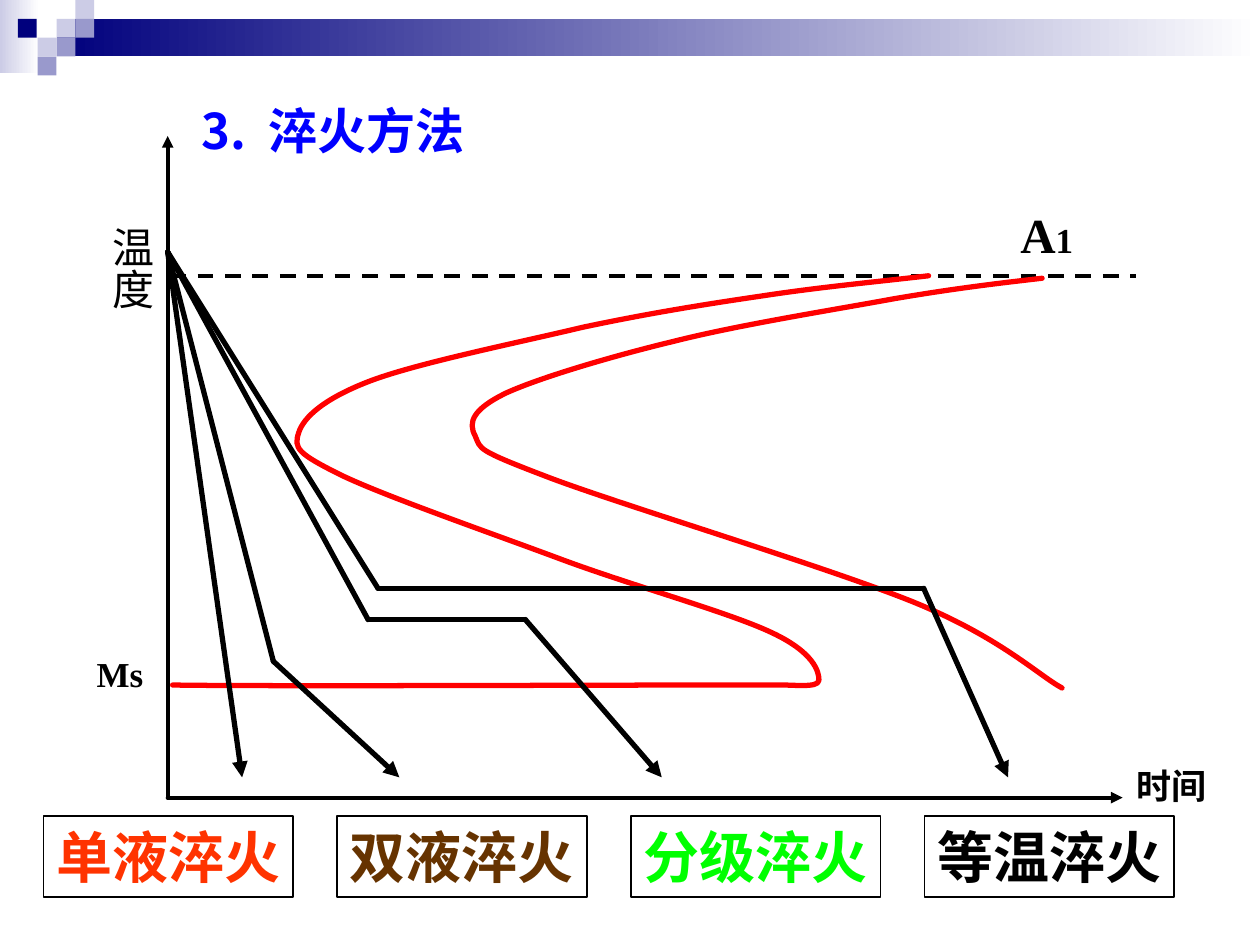
from lxml.etree import SubElement
from pptx import Presentation
from pptx.dml.color import RGBColor
from pptx.enum.dml import MSO_LINE_DASH_STYLE as Dash
from pptx.enum.shapes import MSO_CONNECTOR as Connector, MSO_SHAPE as Shape
from pptx.enum.text import (MSO_ANCHOR as Anchor, MSO_AUTO_SIZE as AutoSize,
                            PP_ALIGN as Align)
from pptx.oxml.ns import qn
from pptx.util import Cm, Pt

LATIN, CJK = "Times New Roman", "Noto Sans CJK SC"
BLACK, RED, NAVY = "000000", "FF0000", "00007D"
WHITE, LILAC, VIOLET = "FFFFFF", "CCCCE6", "9999CC"

# Points are in cm from the top left corner of the diagram.
START = (0, 2.34)
COOLING_PATHS = [
    [START, (1.5, 12.93)],
    [START, (2.13, 10.59), (4.67, 12.93)],
    [START, (4.04, 9.75), (7.21, 9.75), (9.96, 12.93)],
    [START, (4.24, 9.12), (15.24, 9.12), (16.94, 12.93)],
]
METHODS = [("单液淬火", "FF3300"), ("双液淬火", "663300"),
           ("分级淬火", "00FF00"), ("等温淬火", BLACK)]

# Bezier chains: a start point, then two controls and an end for each piece.
TRANSFORMATION_START = [
    (15.34, 2.82), (14.22, 2.95), (13.13, 3.05), (11.96, 3.23),
    (10.8, 3.4), (9.68, 3.58), (8.36, 3.86),
    (7.06, 4.17), (5.08, 4.57), (4.11, 4.93),
    (3.18, 5.28), (2.74, 5.66), (2.64, 5.99),
    (2.54, 6.3), (2.62, 6.4), (3.48, 6.83),
    (4.37, 7.26), (6.5, 8), (7.92, 8.53),
    (9.37, 9.07), (11.3, 9.6), (12.17, 10.01),
    (13.03, 10.41), (13.13, 10.8), (13.13, 10.97),
    (13.13, 11.15), (12.55, 11.05), (12.17, 11.07),
    (11.81, 11.07), (12.9, 11.07), (10.9, 11.07),
    (8.89, 11.07), (1.9, 11.1), (0.1, 11.07),
]
TRANSFORMATION_END = [
    (17.63, 2.87), (16.76, 2.97), (15.9, 3.07), (14.66, 3.28),
    (13.41, 3.51), (11.51, 3.81), (10.21, 4.14),
    (8.92, 4.45), (7.49, 4.88), (6.83, 5.18),
    (6.15, 5.51), (6.05, 5.77), (6.2, 6.05),
    (6.32, 6.32), (6.2, 6.32), (7.67, 6.88),
    (9.14, 7.44), (13.36, 8.71), (15.09, 9.42),
    (16.81, 10.13), (17.55, 10.87), (18.03, 11.13),
]


def rgb(code):
    return RGBColor.from_string(code)


def format_run(run, size, color=BLACK, bold=True, latin=LATIN):
    run.font.name, run.font.size, run.font.bold = latin, Pt(size), bold
    run.font.color.rgb = rgb(color)
    SubElement(run._r.get_or_add_rPr(), qn("a:ea"), typeface=CJK)


def format_stroke(line, color, width, dash=None):
    line.color.rgb = rgb(color)
    line.width = Pt(width)
    if dash:
        line.dash_style = dash
    else:
        line._get_or_add_ln().set("cap", "rnd")


def add_line(slide, start, end, width, dash=None, arrow=False):
    line = slide.shapes.add_connector(
        Connector.STRAIGHT, *(Cm(value) for value in (*start, *end)))
    format_stroke(line.line, BLACK, width, dash)
    if arrow:
        SubElement(line.line._get_or_add_ln(), qn("a:tailEnd"), type="triangle")
    SubElement(line._element.spPr, qn("a:effectLst"))


def add_curve(slide, chain):
    """Draw a Bezier chain, turning each three line segments into one curve."""
    points = [(Cm(x), Cm(y)) for x, y in chain]
    builder = slide.shapes.build_freeform(*points[0])
    builder.add_line_segments(points[1:], close=False)
    curve = builder.convert_to_shape()
    curve.shadow.inherit = False
    curve.fill.background()
    format_stroke(curve.line, RED, 3)
    outline = next(curve._element.iter(qn("a:path")))
    segments = outline.findall(qn("a:lnTo"))
    for i in range(0, len(segments), 3):
        piece = SubElement(outline, qn("a:cubicBezTo"))
        for segment in segments[i:i + 3]:
            piece.append(segment[0])
            outline.remove(segment)


def add_block(slide, box, *colors):
    """Add a borderless rectangle; two colours make a left-to-right gradient."""
    block = slide.shapes.add_shape(Shape.RECTANGLE, *(Cm(v) for v in box))
    block.shadow.inherit = False
    block.line.fill.background()
    if len(colors) == 1:
        block.fill.solid()
        block.fill.fore_color.rgb = rgb(colors[0])
        return
    block.fill.gradient()
    block.fill.gradient_angle = 0
    for stop, color in zip(block.fill.gradient_stops, colors):
        stop.color.rgb = rgb(color)


def add_banner(slide, left, top, width):
    unit = 0.38
    add_block(slide, (left, top, 0.79, 1.47), LILAC, WHITE)
    grid_left = left + 2 * unit
    bar_left = grid_left + unit
    add_block(slide, (bar_left, top + unit, left + width - bar_left, 2 * unit),
              NAVY, WHITE)
    squares = [(1, 1, LILAC), (2, 0, LILAC), (2, 1, VIOLET), (0, 2, LILAC),
               (-1.05, 1, NAVY), (1, 2, VIOLET), (0, 3, VIOLET)]
    for column, row, color in squares:
        add_block(slide, (grid_left + column * unit, top + row * unit,
                          unit, unit), color)


def set_title(slide, left, top, width, height):
    title = slide.shapes.title
    title.left, title.top = Cm(left), Cm(top)
    title.width, title.height = Cm(width), Cm(height)
    title.text_frame.text = "3.  淬火方法"
    title.text_frame.vertical_anchor = Anchor.MIDDLE
    heading = title.text_frame.paragraphs[0]
    heading.alignment = Align.LEFT
    format_run(heading.runs[0], 28, "0000FF", latin=CJK)


def add_label(slide, box, pieces, bold=True, vertical=False):
    """Add unwrapped text from (wording, size) pieces."""
    label = slide.shapes.add_textbox(*(Cm(v) for v in box))
    frame = label.text_frame
    frame.word_wrap = False
    frame.auto_size = AutoSize.SHAPE_TO_FIT_TEXT
    if vertical:
        frame._txBody.bodyPr.set("vert", "eaVert")
        frame.margin_left = frame.margin_right = Cm(0.13)
    for wording, size in pieces:
        run = frame.paragraphs[0].add_run()
        run.text = wording
        format_run(run, size, bold=bold)


def add_diagram(slide, left, top, width, height):
    def at(point):
        return left + point[0], top + point[1]

    def label(x, y, w, h, *pieces, **style):
        add_label(slide, (*at((x, y)), w, h), pieces, **style)

    label(19.28, 12.55, 1.95, 1.12, ("时间", 20))
    label(-1.6, 1.57, 1.52, 1.96, ("温度", 24), bold=False, vertical=True)
    label(-1.68, 10.29, 1.45, 1.12, ("Ms", 20))
    label(16.94, 1.26, 1.57, 1.45, ("A", 28), ("1", 20))

    origin = at((0, height))
    for tip in ((0, 0), (width, height)):
        add_line(slide, origin, at(tip), 2.25, arrow=True)
    add_line(slide, at((0.05, 2.82)), at((19.53, 2.82)), 2.25, dash=Dash.DASH)

    for chain in (TRANSFORMATION_START, TRANSFORMATION_END):
        add_curve(slide, [at(point) for point in chain])

    for path in COOLING_PATHS:
        for start, end in zip(path, path[1:]):
            add_line(slide, at(start), at(end), 3, arrow=end is path[-1])


def add_methods(slide, left, top, width, height):
    box_width = 5.03
    pitch = (width - box_width) / (len(METHODS) - 1)
    for i, (method, color) in enumerate(METHODS):
        box = slide.shapes.add_shape(
            Shape.RECTANGLE, Cm(left + i * pitch), Cm(top),
            Cm(box_width), Cm(height))
        box.shadow.inherit = False
        box.fill.background()
        box.line.color.rgb = rgb(BLACK)
        box.line.width = Pt(1)
        box.text_frame.word_wrap = False
        box.text_frame.text = method
        caption = box.text_frame.paragraphs[0]
        caption.alignment = Align.LEFT
        format_run(caption.runs[0], 32, color)


def main():
    deck = Presentation()
    deck.slide_width, deck.slide_height = Cm(25.4), Cm(19.05)
    slide = deck.slides.add_slide(deck.slide_layouts[5])
    add_banner(slide, 0, 0, 25.4)
    set_title(slide, 3.81, 1.03, 21.59, 3.18)
    add_diagram(slide, 3.38, 2.74, 19.25, 13.34)
    add_methods(slide, 0.88, 16.45, 22.79, 1.63)
    deck.save("out.pptx")


if __name__ == "__main__":
    main()
